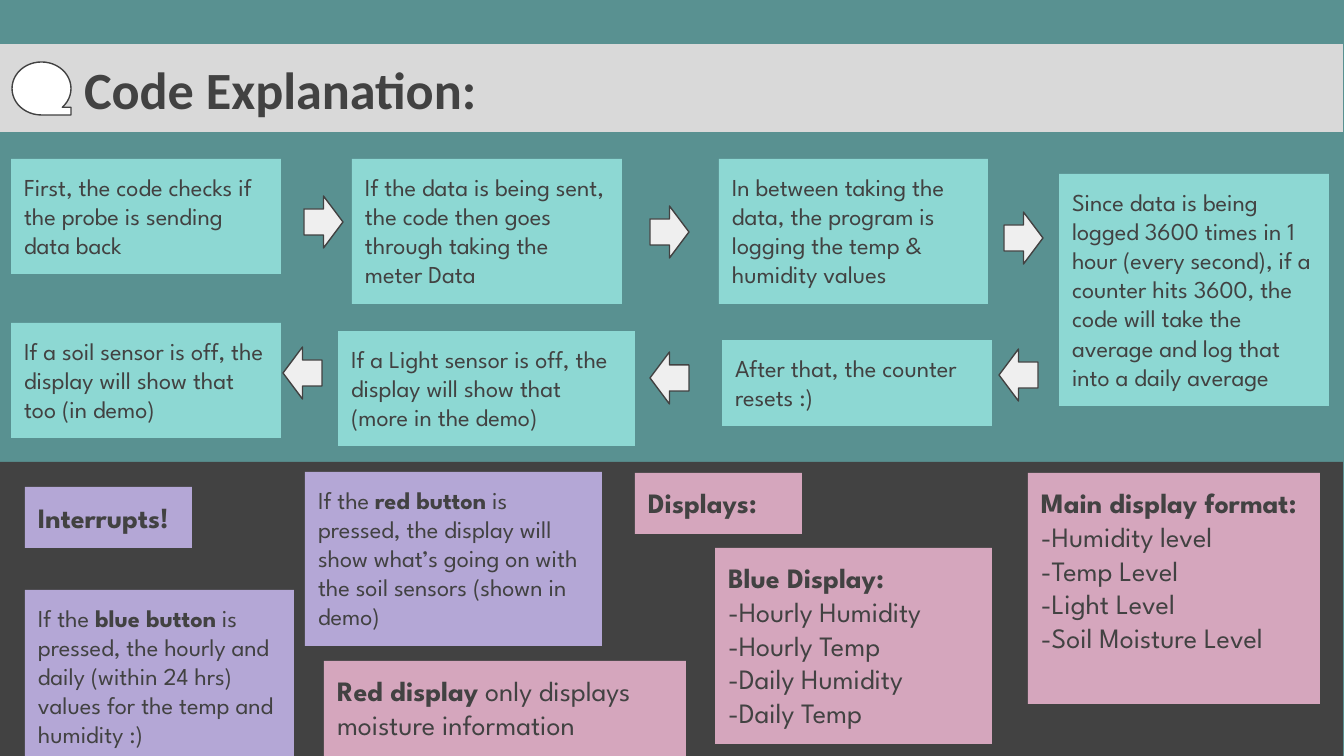
import pptx
import pptx.dml.color
import pptx.enum.shapes
import pptx.enum.text
import pptx.util

SHAPES = pptx.enum.shapes.MSO_SHAPE
EMU_PER_PX = 914400 / 134.4
INSET = 13
DARK, TEAL, GREY, WHITE = "424242", "599191", "D9D9D9", "FFFFFF"
AQUA, LILAC, PINK, PALE = "8DD8D3", "B4A7D6", "D5A6BD", "EFEFEF"

STEPS = [
    (11, 159, 270, 115, "First, the code checks if the probe is sending data back"),
    (352, 159, 270, 145, "If the data is being sent, the code then goes through taking the meter Data"),
    (719, 159, 269, 145, "In between taking the data, the program is logging the temp & humidity values"),
    (1059, 174, 270, 232, "Since data is being logged 3600 times in 1 hour (every second), if a counter "
                          "hits 3600, the code will take the average and log that into a daily average"),
    (722, 340, 270, 86, "After that, the counter resets :)"),
    (338, 331, 297, 115, "If a Light sensor is off, the display will show that (more in the demo)"),
    (11, 323, 270, 115, "If a soil sensor is off, the display will show that too (in demo)"),
]
INTERRUPTS = [
    (25, 590, 269, 175, "If the **blue button** is pressed, the hourly and daily (within 24 hrs) "
                        "values for the temp and humidity :)"),
    (305, 472, 297, 174, "If the **red button** is pressed, the display will show what’s going on "
                         "with the soil sensors (shown in demo)"),
]
DISPLAYS = [
    (635, 473, 167, 61, "**Displays:**"),
    (1028, 473, 292, 231, "**Main display format:**", "-Humidity level", "-Temp Level",
     "-Light Level", "-Soil Moisture Level"),
    (715, 548, 277, 196, "**Blue Display:**", "-Hourly Humidity", "-Hourly Temp",
     "-Daily Humidity", "-Daily Temp"),
    (324, 661, 362, 96, "**Red display** only displays moisture information"),
]
RIGHT_ARROWS = [(304, 196), (650, 206), (1004, 212)]
LEFT_ARROWS = [(999, 349), (650, 352), (283, 347)]


def px(length):
    """Turn pixels into EMU."""
    return pptx.util.Emu(round(length * EMU_PER_PX))


def colour(hex_string):
    """Turn a hex string into a colour."""
    return pptx.dml.color.RGBColor.from_string(hex_string)


def add_figure(slide, preset, left, top, width, height, fill, outline=None):
    """Add a flat preset shape."""
    figure = slide.shapes.add_shape(preset, px(left), px(top), px(width), px(height))
    figure.shadow.inherit = False
    figure.fill.solid()
    figure.fill.fore_color.rgb = colour(fill)
    if outline:
        figure.line.color.rgb = colour(outline)
        figure.line.width = pptx.util.Pt(0.75)
    else:
        figure.line.fill.background()
    return figure


def set_frame(frame):
    """Give a text frame its insets, wrapping and top anchor."""
    frame.margin_left = frame.margin_right = px(INSET)
    frame.margin_top = frame.margin_bottom = px(INSET)
    frame.word_wrap = True
    frame.vertical_anchor = pptx.enum.text.MSO_ANCHOR.TOP


def style(paragraph, font_name, size):
    """Left-align a paragraph and set its font."""
    paragraph.alignment = pptx.enum.text.PP_ALIGN.LEFT
    paragraph.font.name = font_name
    paragraph.font.size = pptx.util.Pt(size)
    paragraph.font.color.rgb = colour(DARK)


def add_note(slide, left, top, width, height, lines, fill, size):
    """Add a filled note whose **marked** words are bold."""
    note = add_figure(slide, SHAPES.RECTANGLE, left, top, width, height, fill)
    frame = note.text_frame
    set_frame(frame)
    frame.auto_size = pptx.enum.text.MSO_AUTO_SIZE.SHAPE_TO_FIT_TEXT
    for index, line in enumerate(lines):
        paragraph = frame.add_paragraph() if index else frame.paragraphs[0]
        style(paragraph, "League Spartan", size)
        for part, words in enumerate(line.split("**")):
            if words:
                run = paragraph.add_run()
                run.text = words
                if part % 2:
                    run.font.bold = True


def set_title(slide, text):
    """Place the title in front of its band."""
    band = add_figure(slide, SHAPES.RECTANGLE, 0, 44, 1343, 88, GREY)
    title = slide.shapes.title
    title.left, title.top, title.width, title.height = px(71), px(44), px(1034), px(146)
    title.text_frame.text = text
    set_frame(title.text_frame)
    heading = title.text_frame.paragraphs[0]
    style(heading, "Calibri", 28)
    heading.font.bold = True
    title._element.addprevious(band._element)


def main():
    """Build the slide and save it."""
    deck = pptx.Presentation()
    deck.slide_width, deck.slide_height = px(1344), px(756)
    slide = deck.slides.add_slide(deck.slide_layouts[5])
    slide.background.fill.solid()
    slide.background.fill.fore_color.rgb = colour(TEAL)

    set_title(slide, "Code Explanation:")
    add_figure(slide, SHAPES.RECTANGLE, 0, 462, 1343, 339, DARK)
    add_figure(slide, SHAPES.FLOWCHART_SEQUENTIAL_ACCESS_STORAGE, 12, 62, 59, 53, WHITE, DARK)

    add_note(slide, 25, 487, 167, 61, ["**Interrupts!**"], LILAC, 15)
    for notes, fill, size in ((STEPS, AQUA, 13), (INTERRUPTS, LILAC, 13), (DISPLAYS, PINK, 15)):
        for left, top, width, height, *lines in notes:
            add_note(slide, left, top, width, height, lines, fill, size)

    for preset, places in ((SHAPES.RIGHT_ARROW, RIGHT_ARROWS), (SHAPES.LEFT_ARROW, LEFT_ARROWS)):
        for left, top in places:
            add_figure(slide, preset, left, top, 39, 52, PALE, DARK)

    deck.save("out.pptx")


if __name__ == "__main__":
    main()
